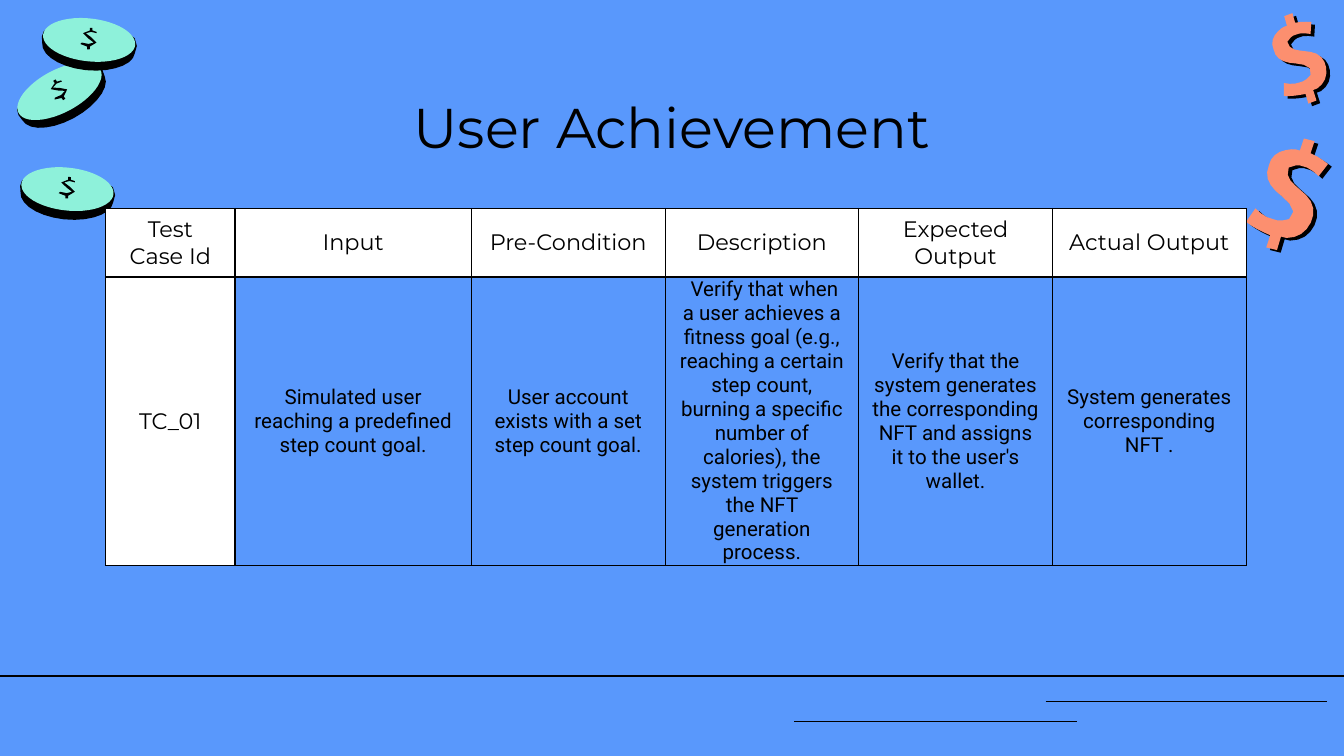
from math import ceil, cos, dist, radians, sin

from lxml import etree
from pptx import Presentation
from pptx.dml.color import RGBColor
from pptx.enum import shapes, text
from pptx.oxml.ns import qn
from pptx.util import Cm, Pt

BLACK, WHITE, BLUE, MINT, CORAL = "000000", "FFFFFF", "5998FC", "8EF1DA", "FC8F6F"
LINE_WIDTH = Pt(0.75)

# Outlines: M, L and C commands on a grid of whole units
COIN_CENTER, COIN_TILT, COIN_UNITS = (66.5, 30), 6.4, 69
COIN_RIM = """M 68 20 C 53 18 39 18 33 24 C 31 25 32 30 32 32 C 31 41 45 50 64 52
C 83 54 99 48 100 40 C 101 37 103 32 100 29 C 95 24 81 21 68 20"""
COIN_MARK = """M 67 21 L 67 23 C 64 23 62 24 62 25 C 61 27 63 28 66 29 C 69 30 70 31 70 32
C 69 33 68 34 66 33 C 64 33 62 33 61 32 L 60 33 C 61 34 63 35 65 35 L 65 37 L 67 37 L 67 35
C 70 35 72 34 72 32 C 72 30 71 29 68 28 C 65 27 64 26 64 25 C 64 24 65 24 68 24
C 70 24 71 25 72 25 L 72 24 C 72 23 70 23 69 23 L 69 21"""
SIGN_CENTER, SIGN_UNITS = (57.5, 45), 61
SIGN = """M 70 3 L 67 12 C 65 11 63 11 61 11 C 58 11 55 12 52 13 C 48 15 45 18 44 23
C 41 30 43 36 49 42 C 53 46 69 56 59 63 C 57 64 55 64 54 64 C 51 64 49 64 47 63
C 42 62 38 59 34 55 L 27 65 C 32 69 38 72 45 75 L 42 84 L 50 86 L 53 76
C 55 77 56 77 57 77 C 61 77 65 76 68 74 C 74 70 78 62 77 55 C 76 49 72 45 67 41
C 64 38 59 35 58 30 C 56 25 60 23 64 23 C 65 23 66 23 67 23 C 73 24 77 27 81 31
L 88 22 C 84 19 80 16 75 14 L 78 5 L 70 3"""

HEADINGS = ["Test Case Id", "Input", "Pre-Condition", "Description",
            "Expected Output", "Actual Output"]
TEST_CASE = [
    "TC_01",
    "Simulated user reaching a predefined step count goal.",
    "User account exists with a set step count goal.",
    " Verify that when a user achieves a fitness goal (e.g., reaching a certain step count, "
    "burning a specific number of calories), the system triggers the NFT generation process.",
    "Verify that the system generates the corresponding NFT and assigns it to the user's wallet.",
    "System generates corresponding NFT .",
]


def color(hex_value):
    return RGBColor.from_string(hex_value)


def paint(shape, fill, outlined=False):
    shape.shadow.inherit = False
    shape.fill.solid()
    shape.fill.fore_color.rgb = color(fill)
    if outlined:
        shape.line.color.rgb = color(BLACK)
        shape.line.width = LINE_WIDTH
    else:
        shape.line.fill.background()


def style(paragraph, font_name, size):
    paragraph.alignment = text.PP_ALIGN.CENTER
    for run in paragraph.runs:
        run.font.name, run.font.size, run.font.bold = font_name, Pt(size), False
        run.font.color.rgb = color(BLACK)


def turn(point, degrees):
    x, y, a = *point, radians(degrees)
    return x * cos(a) - y * sin(a), x * sin(a) + y * cos(a)


def flatten(outline):
    """Turn the commands of an outline into points, more of them on long curves."""
    points = []
    for command in outline.replace("L", "|L").replace("C", "|C").split("|"):
        kind, *numbers = command.split()
        values = [int(n) for n in numbers]
        ends = list(zip(values[::2], values[1::2]))
        if kind != "C":
            points += ends
            continue
        curve = [points[-1], *ends]
        steps = ceil(dist(curve[0], curve[3]) / 6)
        for step in range(1, steps + 1):
            t = step / steps
            weights = (1 - t) ** 3, 3 * t * (1 - t) ** 2, 3 * t * t * (1 - t), t ** 3
            points.append(tuple(sum(w * p[axis] for w, p in zip(weights, curve))
                                for axis in (0, 1)))
    return points


def add_outline(slide, box, outline, center, units, tilt, fill, drawn_tilt=0, outlined=False):
    left, top, width, height = box
    unit = width / units
    local = [turn((x - center[0], y - center[1]), -drawn_tilt) for x, y in flatten(outline)]
    middle = [(min(axis) + max(axis)) / 2 for axis in zip(*local)]
    shift_x, shift_y = turn(middle, tilt)
    x0 = left + width / 2 + (shift_x - middle[0]) * unit
    y0 = top + height / 2 + (shift_y - middle[1]) * unit
    points = [(round(x0 + x * unit), round(y0 + y * unit)) for x, y in local]
    builder = slide.shapes.build_freeform(*points[0], scale=1.0)
    builder.add_line_segments(points[1:], close=True)
    shape = builder.convert_to_shape()
    shape.rotation = tilt
    paint(shape, fill, outlined)


def add_coin(slide, box, tilt):
    place = dict(center=COIN_CENTER, units=COIN_UNITS, tilt=tilt,
                 fill=BLACK, drawn_tilt=COIN_TILT)
    add_outline(slide, box, COIN_RIM, outlined=True, **place)
    face = slide.shapes.add_shape(shapes.MSO_SHAPE.OVAL, *box)
    face.rotation = tilt
    paint(face, MINT)
    add_outline(slide, box, COIN_MARK, **place)


def add_dollar_sign(slide, box, tilt):
    left, top, width, height = box
    shade = (left + Cm(0.07), top + Cm(0.05), width, height)
    for place, fill in ((shade, BLACK), (box, CORAL)):
        add_outline(slide, place, SIGN, SIGN_CENTER, SIGN_UNITS, tilt, fill)


def add_footer_lines(slide, box):
    left, top, width, _ = box
    for start, end, drop in ((0, width, 0), (Cm(19.76), Cm(25.07), Cm(0.48)),
                             (Cm(15.01), Cm(20.35), Cm(0.86))):
        rule = slide.shapes.add_connector(shapes.MSO_CONNECTOR.STRAIGHT, left + start,
                                          top + drop, left + end, top + drop)
        rule.line.color.rgb = color(BLACK)
        rule.line.width = LINE_WIDTH
        etree.SubElement(rule.element.spPr, qn("a:effectLst"))


def add_title(slide, box):
    title = slide.shapes.title
    title.left, title.top, title.width, title.height = box
    frame = title.text_frame
    frame.text = "User Achievement"
    frame.auto_size = text.MSO_AUTO_SIZE.NONE
    frame.vertical_anchor = text.MSO_ANCHOR.TOP
    frame.margin_left = frame.margin_right = frame.margin_top = frame.margin_bottom = Cm(0.25)
    style(frame.paragraphs[0], "Montserrat", 30)


def add_borders(cell):
    properties = cell._tc.get_or_add_tcPr()
    for side in ("lnL", "lnR", "lnT", "lnB"):
        border = etree.SubElement(properties, qn(f"a:{side}"), w=str(LINE_WIDTH))
        fill = etree.SubElement(border, qn("a:solidFill"))
        etree.SubElement(fill, qn("a:srgbClr"), val=BLACK)


def add_test_table(slide, box):
    table = slide.shapes.add_table(2, len(HEADINGS), *box).table
    table.first_row = table.horz_banding = False
    for column, width in zip(table.columns, (2.44, 4.47, 3.66, 3.66, 3.66, 3.66)):
        column.width = Cm(width)
    heading_height = Cm(1.28)
    table.rows[0].height, table.rows[1].height = heading_height, box[3] - heading_height
    for r, entries in enumerate((HEADINGS, TEST_CASE)):
        for c, entry in enumerate(entries):
            cell = table.cell(r, c)
            cell.text_frame.text = entry
            cell.vertical_anchor = text.MSO_ANCHOR.MIDDLE
            cell.margin_left = cell.margin_right = Cm(0.25)
            cell.margin_top = cell.margin_bottom = Cm(0 if r else 0.13)
            add_borders(cell)
            is_label = r == 0 or c == 0
            if is_label:
                cell.fill.solid()
                cell.fill.fore_color.rgb = color(WHITE)
            else:
                cell.fill.background()
            font = ("Montserrat", 12) if is_label else ("Roboto", 11)
            style(cell.text_frame.paragraphs[0], *font)


def main():
    deck = Presentation()
    deck.slide_width, deck.slide_height = Cm(25.4), Cm(14.29)
    slide = deck.slides.add_slide(deck.slide_layouts[5])
    slide.background.fill.solid()
    slide.background.fill.fore_color.rgb = color(BLUE)

    # Decoration
    add_footer_lines(slide, (0, Cm(12.78), deck.slide_width, Cm(0.86)))
    for left, top, tilt in ((0.25, 1.32, -27.9), (0.4, 3.17, 6.4), (0.81, 0.35, 6.4)):
        add_coin(slide, (Cm(left), Cm(top), Cm(1.75), Cm(0.81)), tilt)
    add_dollar_sign(slide, (Cm(23.55), Cm(2.62), Cm(1.55), Cm(2.13)), 0)
    add_dollar_sign(slide, (Cm(23.93), Cm(0.3), Cm(1.22), Cm(1.68)), -34.5)

    # Content
    add_title(slide, (Cm(2), Cm(1.5), Cm(21.4), Cm(1.6)))
    add_test_table(slide, (Cm(2), Cm(3.94), Cm(21.55), Cm(6.73)))
    deck.save("out.pptx")


if __name__ == "__main__":
    main()
